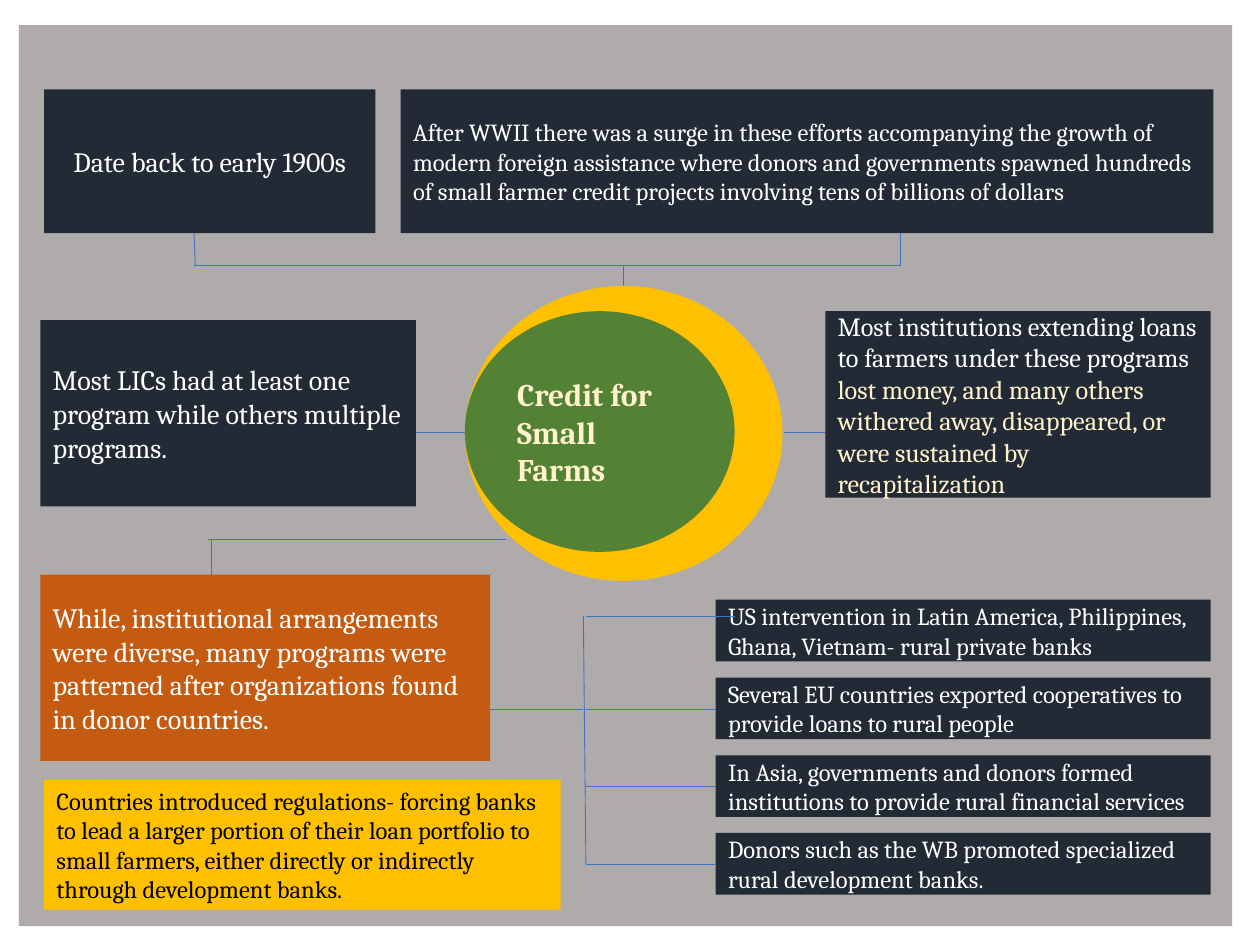
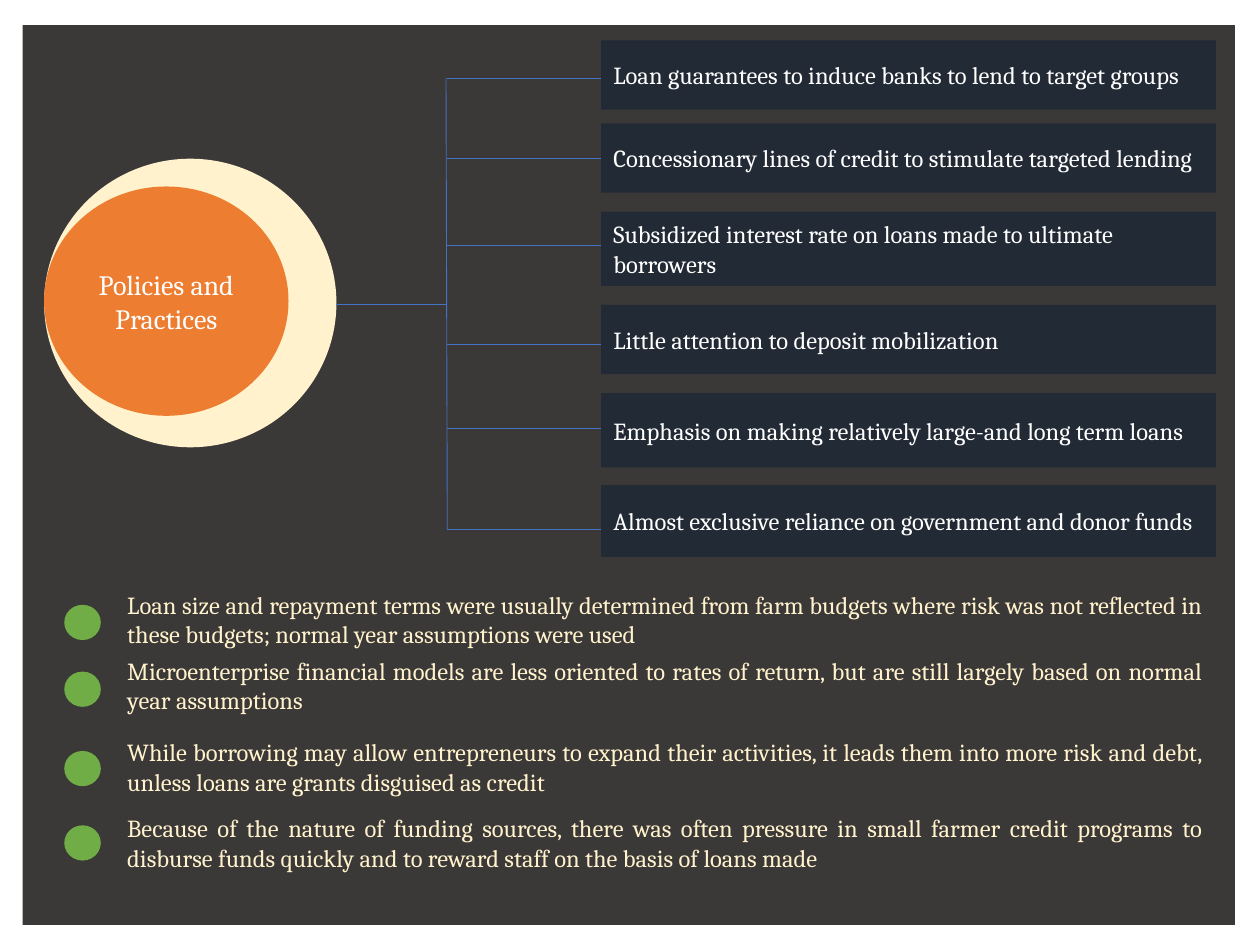
import dataclasses

import lxml.etree
import pptx
import pptx.dml.color
import pptx.enum.shapes
import pptx.enum.text
import pptx.oxml.ns
import pptx.util

SHAPE = pptx.enum.shapes.MSO_SHAPE
ALIGN = pptx.enum.text.PP_ALIGN
ANCHOR = pptx.enum.text.MSO_ANCHOR


@dataclasses.dataclass(frozen=True)
class Theme:
    font: str = "Cambria"
    white: str = "FFFFFF"
    black: str = "000000"
    cream: str = "FFF2CC"
    navy: str = "222A35"
    gold: str = "FFC000"
    grey: str = "AFABAB"
    coal: str = "3B3838"
    pine: str = "548235"
    leaf: str = "70AD47"
    rust: str = "C55A11"
    orange: str = "ED7D31"
    blue: str = "4472C4"
    small: int = 14
    mid: int = 15
    large: int = 16
    head: int = 18
    rule: float = 0.5


class Deck:
    """Holds the style and the current slide; lengths are grid cells."""
    COLS, ROWS = 100, 75

    def __init__(self, theme):
        self.theme = theme
        self.file = pptx.Presentation()
        self.file.slide_width = pptx.util.Inches(10)
        self.file.slide_height = pptx.util.Inches(7.5)
        self.slide = None

    def grid(self, *cells):
        """Turn x, y, x, y ... cells into slide lengths."""
        units = (self.file.slide_width / self.COLS,
                 self.file.slide_height / self.ROWS)
        return [round(cell * units[i % 2]) for i, cell in enumerate(cells)]

    def start(self, layout, area, color):
        """Add a slide with its coloured panel."""
        self.slide = self.file.slides.add_slide(self.file.slide_layouts[layout])
        self.shape(SHAPE.RECTANGLE, area, color)

    def shape(self, kind, area, color):
        item = self.slide.shapes.add_shape(kind, *self.grid(*area))
        item.shadow.inherit = False
        item.fill.solid()
        item.fill.fore_color.rgb = pptx.dml.color.RGBColor.from_string(color)
        item.line.fill.background()
        return item

    def label(self, para, parts, size, align=ALIGN.LEFT, bold=False):
        """Fill a paragraph from (text, colour) parts."""
        para.alignment = align
        for text, color in parts:
            run = para.add_run()
            run.text = text
            font = run.font
            font.name, font.size, font.bold = self.theme.font, pptx.util.Pt(size), bold
            font.color.rgb = pptx.dml.color.RGBColor.from_string(color)

    def box(self, area, parts, fill=None, size=None, align=ALIGN.LEFT):
        if isinstance(parts, str):
            parts = [(parts, self.theme.white)]
        item = self.shape(SHAPE.RECTANGLE, area, fill or self.theme.navy)
        frame = item.text_frame
        frame.word_wrap = True
        frame.vertical_anchor = ANCHOR.MIDDLE
        self.label(frame.paragraphs[0], parts, size or self.theme.small, align)

    def place(self, holder, area, anchor):
        """Move a placeholder in front and give back its text frame."""
        holder.left, holder.top, holder.width, holder.height = self.grid(*area)
        tree = holder._element.getparent()
        tree.append(holder._element)
        frame = holder.text_frame
        frame.word_wrap = True
        frame.auto_size = pptx.enum.text.MSO_AUTO_SIZE.NONE
        frame.vertical_anchor = anchor
        return frame

    def hub(self, outer, inner, fills, text, color, **style):
        """Draw two nested ellipses with the title in the inner one."""
        for area, fill in zip((outer, inner), fills):
            self.shape(SHAPE.OVAL, area, fill)
        left, top, wide, high = inner
        share = 0.5 ** 0.5  # text square inside an ellipse
        edge = (1 - share) / 2
        area = (left + edge * wide, top + edge * high, share * wide, share * high)
        frame = self.place(self.slide.shapes.title, area, ANCHOR.MIDDLE)
        self.label(frame.paragraphs[0], [(text, color)], **style)

    def points(self, area, items):
        """Fill the body placeholder from (text, space before) items."""
        frame = self.place(self.slide.placeholders[1], area, ANCHOR.TOP)
        for i, (text, gap) in enumerate(items):
            para = frame.add_paragraph() if i else frame.paragraphs[0]
            props = para._p.get_or_add_pPr()
            props.set("marL", "0")
            props.set("indent", "0")
            lxml.etree.SubElement(props, pptx.oxml.ns.qn("a:buNone"))
            para.space_before = pptx.util.Pt(gap)
            self.label(para, [(text, self.theme.cream)], self.theme.small, ALIGN.JUSTIFY)

    def lines(self, *ends):
        for pair in ends:
            item = self.slide.shapes.add_connector(
                pptx.enum.shapes.MSO_CONNECTOR.STRAIGHT, *self.grid(*pair))
            item.line.width = pptx.util.Pt(self.theme.rule)
            item.line.color.rgb = pptx.dml.color.RGBColor.from_string(self.theme.blue)
            lxml.etree.SubElement(item._element.spPr, pptx.oxml.ns.qn("a:effectLst"))


def farms(deck):
    t = deck.theme
    deck.start(5, (1.5, 2, 96.3, 71.5), t.grey)
    deck.hub((36.9, 22.7, 25.2, 23.4), (36.9, 24.7, 21.4, 19.1), (t.gold, t.pine),
             "Credit for Small Farms", t.cream, size=t.head, bold=True)

    # History and results
    deck.box((3.5, 7.1, 26.3, 11.4), "Date back to early 1900s",
             size=t.large, align=ALIGN.CENTER)
    deck.box((31.8, 7.1, 64.5, 11.4),
             "After WWII there was a surge in these efforts accompanying the growth of "
             "modern foreign assistance where donors and governments spawned hundreds "
             "of small farmer credit projects involving tens of billions of dollars")
    deck.box((3.2, 25.4, 29.8, 14.8),
             "Most LICs had at least one program while others multiple programs.",
             size=t.large)
    deck.box((65.5, 24.7, 30.6, 14.8), [
        ("Most institutions extending loans to farmers under these programs ", t.white),
        ("lost money, and many others withered away, disappeared, or were "
         "sustained by recapitalization", t.cream)], size=t.mid)
    deck.box((3.2, 45.6, 35.7, 14.8),
             "While, institutional arrangements were diverse, many programs were "
             "patterned after organizations found in donor countries.",
             t.rust, t.large)

    # Donor models
    models = (
        "US intervention in Latin America, Philippines, Ghana, Vietnam- rural private banks",
        "Several EU countries exported cooperatives to provide loans to rural people",
        "In Asia, governments and donors formed institutions to provide rural "
        "financial services",
        "Donors such as the WB promoted specialized rural development banks.")
    for i, text in enumerate(models):
        deck.box((56.8, 47.6 + 6.17 * i, 39.3, 4.9), text)

    # Links around the hub
    deck.lines((49.5, 22.7, 49.5, 21.1), (71.5, 21.1, 15.4, 21.1),
               (15.5, 21.1, 15.4, 18.5), (71.5, 21.1, 71.5, 18.5),
               (36.9, 34.3, 33, 34.3), (62.2, 34.3, 65.5, 34.3),
               (40.2, 42.8, 16.5, 42.8), (16.8, 42.8, 16.8, 45.6))

    # Links to the donor models
    deck.lines((38.9, 56.3, 46.3, 56.3), (46.3, 48.9, 46.5, 68.6))
    for row, end in ((48.9, 58.3), (56.3, 56.8), (62.4, 56.8), (68.6, 56.8)):
        deck.lines((46.5, row, end, row))

    deck.box((3.5, 61.9, 41, 10.3), [
        ("Countries introduced regulations- forcing banks to lead a larger portion of "
         "their loan portfolio to small farmers, either directly or indirectly through "
         "development banks.", t.black)], t.gold)


def rules(deck):
    t = deck.theme
    deck.start(1, (1.8, 2, 96.2, 71.4), t.coal)
    deck.hub((3.5, 12.6, 23.2, 22.9), (3.5, 14.8, 19.4, 18.2), (t.cream, t.orange),
             "Policies and Practices", t.white, size=t.large, align=ALIGN.CENTER)

    # Policies: top, height, link row, text
    deck.lines((26.7, 24.2, 35.4, 24.2), (35.4, 6.2, 35.5, 42))
    for top, high, row, text in (
            (3.2, 5.5, 6.2, "Loan guarantees to induce banks to lend to target groups"),
            (9.8, 5.5, 12.6, "Concessionary lines of credit to stimulate targeted lending"),
            (16.8, 5.9, 19.5, "Subsidized interest rate on loans made to ultimate borrowers"),
            (24.2, 5.5, 27.3, "Little attention to deposit mobilization"),
            (31.2, 5.9, 34, "Emphasis on making relatively large-and long term loans"),
            (38.5, 5.7, 42, "Almost exclusive reliance on government and donor funds")):
        deck.box((47.7, top, 48.8, high), text)
        deck.lines((35.5, row, 47.7, row))

    # Remarks with round markers
    for top in (48, 53.3, 59.6, 65.5):
        deck.shape(SHAPE.OVAL, (5.1, top, 2.9, 2.8), t.leaf)
    deck.points((9.1, 46.3, 87.4, 24), (
        ("Loan size and repayment terms were usually determined from farm budgets where "
         "risk was not reflected in these budgets; normal year assumptions were used", 0),
        ("Microenterprise financial models are less oriented to rates of return, but are "
         "still largely based on normal year assumptions", 4),
        ("While borrowing may allow entrepreneurs to expand their activities, it leads "
         "them into more risk and debt, unless loans are grants disguised as credit", 13),
        ("Because of the nature of funding sources, there was often pressure in small "
         "farmer credit programs to disburse funds quickly and to reward staff on the "
         "basis of loans made", 10)))


def main():
    deck = Deck(Theme())
    farms(deck)
    rules(deck)
    deck.file.save("out.pptx")


if __name__ == "__main__":
    main()
